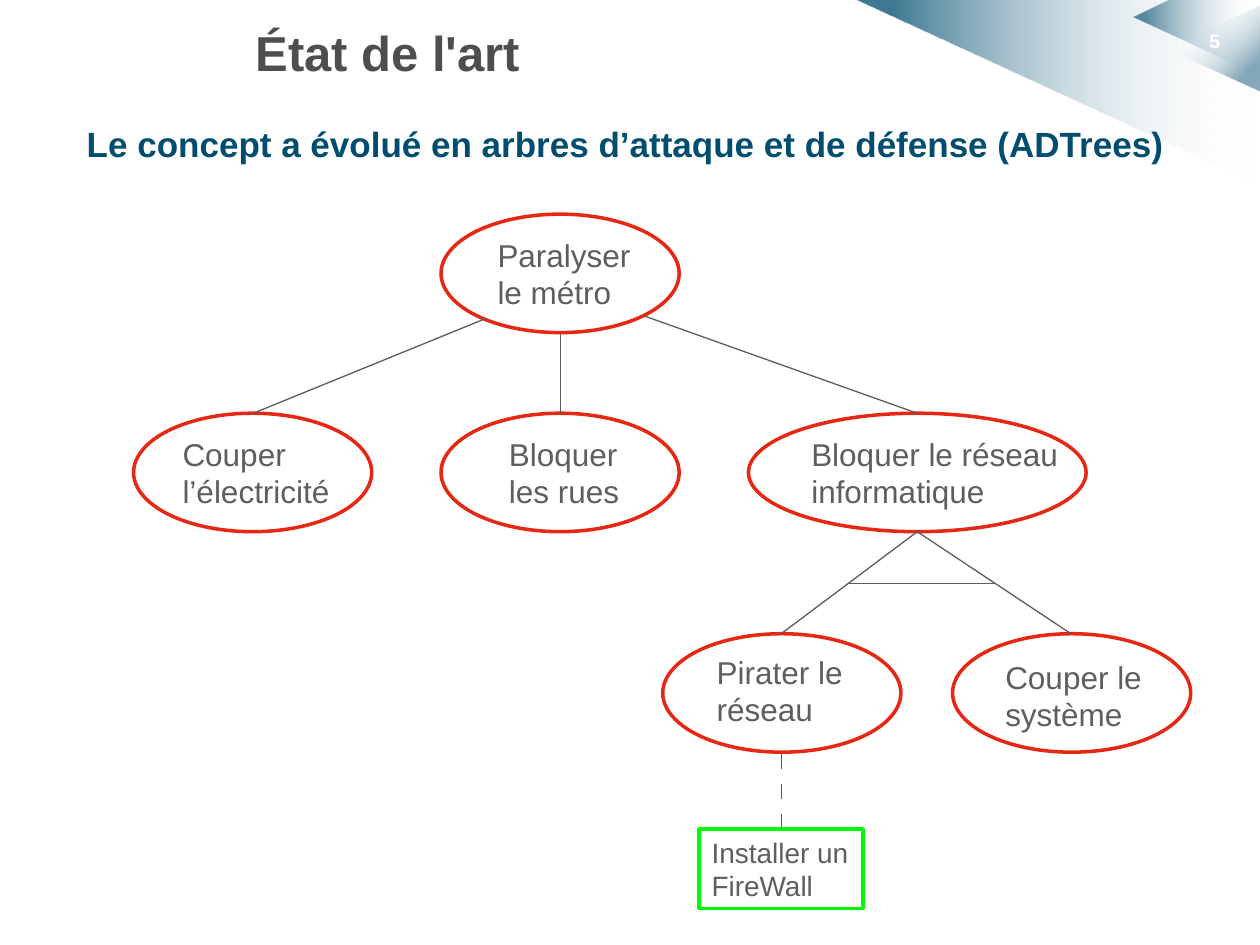
from lxml.etree import SubElement
from pptx import Presentation
from pptx.dml.color import RGBColor
from pptx.enum.shapes import MSO_CONNECTOR, MSO_SHAPE
from pptx.enum.text import MSO_ANCHOR
from pptx.oxml.ns import qn
from pptx.util import Inches, Pt

WHITE = RGBColor(0xFF, 0xFF, 0xFF)
BLUE = RGBColor(0x00, 0x4D, 0x6F)
RED = RGBColor(0xE5, 0x27, 0x13)
GREEN = RGBColor(0x00, 0xFA, 0x06)
TITLE_GRAY = RGBColor(0x4F, 0x4D, 0x50)
TEXT_GRAY = RGBColor(0x5F, 0x5E, 0x5E)
LINE_GRAY = RGBColor(0x5D, 0x5C, 0x5C)

deck = Presentation()
deck.slide_width, deck.slide_height = Inches(10), Inches(7.5)
page = deck.slides.add_slide(deck.slide_layouts[6])


def add_text(text, left, top, width, height, size=18, color=TEXT_GRAY,
             bold=False, anchor=MSO_ANCHOR.TOP):
    box = page.shapes.add_textbox(Inches(left), Inches(top), Inches(width), Inches(height))
    frame = box.text_frame
    frame.word_wrap = True
    frame.vertical_anchor = anchor
    span = frame.paragraphs[0].add_run()
    span.text = text
    span.font.name = "Arial"
    span.font.size = Pt(size)
    span.font.bold = bold
    span.font.color.rgb = color


def fade(shape, angle, stops):
    """Gradient without outline; each stop is position, colour, opacity in percent."""
    shape.shadow.inherit = False
    shape.line.fill.background()
    shape.fill.gradient()
    shape.fill.gradient_angle = angle
    for stop, (position, color, opacity) in zip(shape.fill.gradient_stops, stops):
        stop.position = position
        stop.color.rgb = color
    colors = shape.element.spPr.iter(qn("a:srgbClr"))
    for node, (position, color, opacity) in zip(list(colors), stops):
        SubElement(node, qn("a:alpha"), val=str(opacity * 1000))


# Corner decoration
corners = [
    ([(6.79, 0), (10, 0), (10, 1.47)], 75),
    ([(9, 0.14), (9.29, 0), (10, 0), (10, 0.6)], 63),
]
for points, opacity in corners:
    start, *others = [(Inches(x), Inches(y)) for x, y in points]
    builder = page.shapes.build_freeform(*start)
    builder.add_line_segments(others, close=True)
    fade(builder.convert_to_shape(), 0, [(0.09, BLUE, opacity), (0.99, WHITE, 0)])

triangle = page.shapes.add_shape(MSO_SHAPE.ISOSCELES_TRIANGLE, Inches(9.29), Inches(0.01),
                                 Inches(0.68), Inches(0.75))
triangle.rotation = 270
fade(triangle, 225, [(0.27, WHITE, 0), (0.81, BLUE, 48)])

# Page number, title and subtitle
add_text("5", 9.5, 0.18, 0.5, 0.4, size=11, color=WHITE, bold=True)
add_text("État de l'art", 1.93, 0.1, 7.07, 0.62, size=28, color=TITLE_GRAY,
         bold=True, anchor=MSO_ANCHOR.MIDDLE)
add_text("Le concept a évolué en arbres d’attaque et de défense (ADTrees)",
         0.59, 0.92, 9.03, 6.22, size=20, color=BLUE, bold=True)

# Tree nodes: outline box, then label with its own box
ELLIPSE, RECTANGLE = MSO_SHAPE.OVAL, MSO_SHAPE.RECTANGLE
nodes = [
    (ELLIPSE, RED, (3.5, 1.7, 1.89, 0.94), "Paralyser le métro", (3.85, 1.82, 1.42, 0.71), 18),
    (ELLIPSE, RED, (1.06, 3.28, 1.89, 0.94), "Couper l’électricité", (1.35, 3.4, 1.42, 0.71), 18),
    (ELLIPSE, RED, (3.5, 3.28, 1.89, 0.94), "Bloquer les rues", (3.94, 3.4, 1.23, 0.71), 18),
    (ELLIPSE, RED, (5.94, 3.28, 2.68, 0.94), "Bloquer le réseau informatique",
     (6.34, 3.4, 2.28, 0.71), 18),
    (ELLIPSE, RED, (5.26, 5.03, 1.89, 0.94), "Pirater le réseau", (5.59, 5.13, 1.5, 0.71), 18),
    (ELLIPSE, RED, (7.56, 5.03, 1.89, 0.94), "Couper le système", (7.88, 5.17, 1.42, 0.71), 18),
    (RECTANGLE, GREEN, (5.55, 6.58, 1.3, 0.63), "Installer un FireWall",
     (5.55, 6.58, 1.3, 0.64), 16),
]
for kind, color, bounds, label, label_bounds, size in nodes:
    node = page.shapes.add_shape(kind, *[Inches(value) for value in bounds])
    node.shadow.inherit = False
    node.fill.solid()
    node.fill.fore_color.rgb = WHITE
    node.line.color.rgb = color
    node.line.width = Pt(2)
    add_text(label, *label_bounds, size=size)

# Branches, the AND bar, and the three dashes to the defence
lines = [
    (3.85, 2.53, 2.01, 3.28),
    (4.45, 2.65, 4.45, 3.28),
    (5.12, 2.51, 7.28, 3.28),
    (7.28, 4.22, 6.2, 5.03),
    (7.28, 4.22, 8.5, 5.03),
    (6.74, 4.63, 7.89, 4.63),
]
lines += [(6.2, top, 6.2, top + 0.12) for top in (5.98, 6.22, 6.46)]
for ends in lines:
    line = page.shapes.add_connector(MSO_CONNECTOR.STRAIGHT, *[Inches(value) for value in ends])
    line.line.color.rgb = LINE_GRAY
    line.line.width = Pt(0.75)
    SubElement(line.element.spPr, qn("a:effectLst"))

deck.save("out.pptx")
